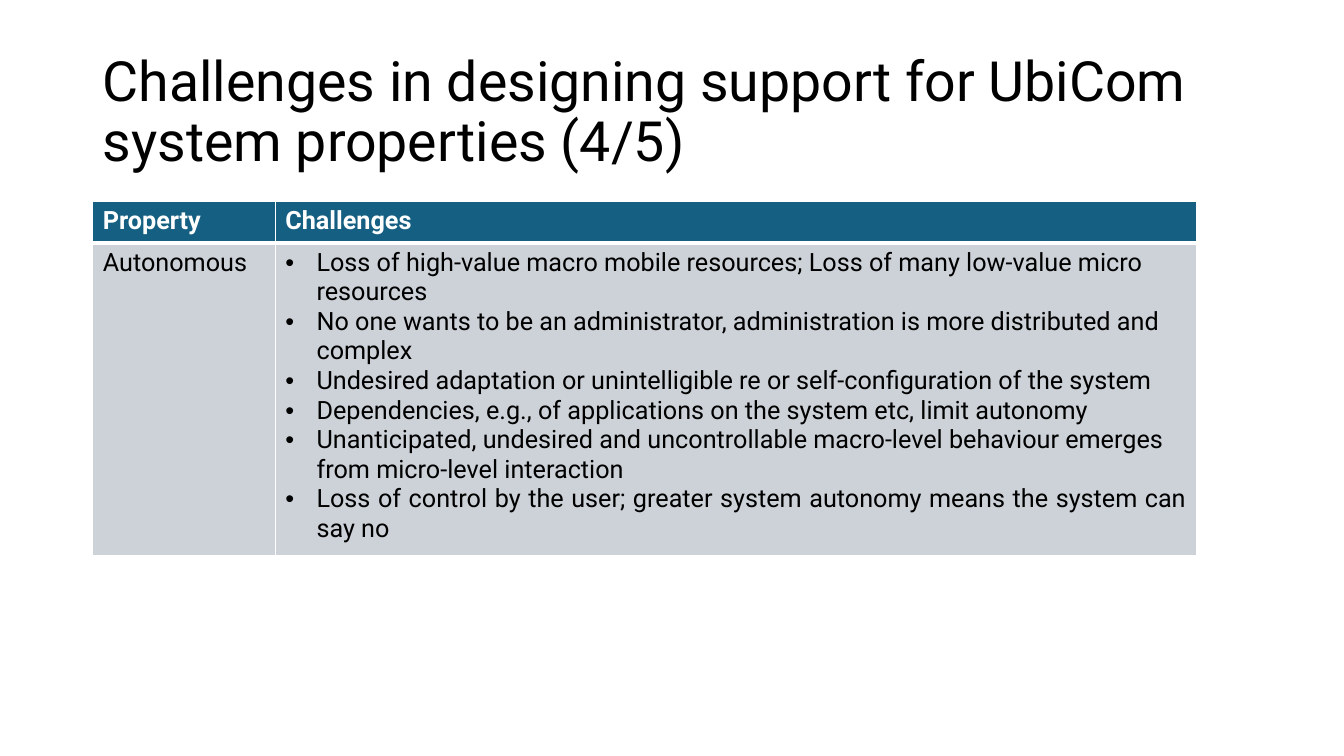
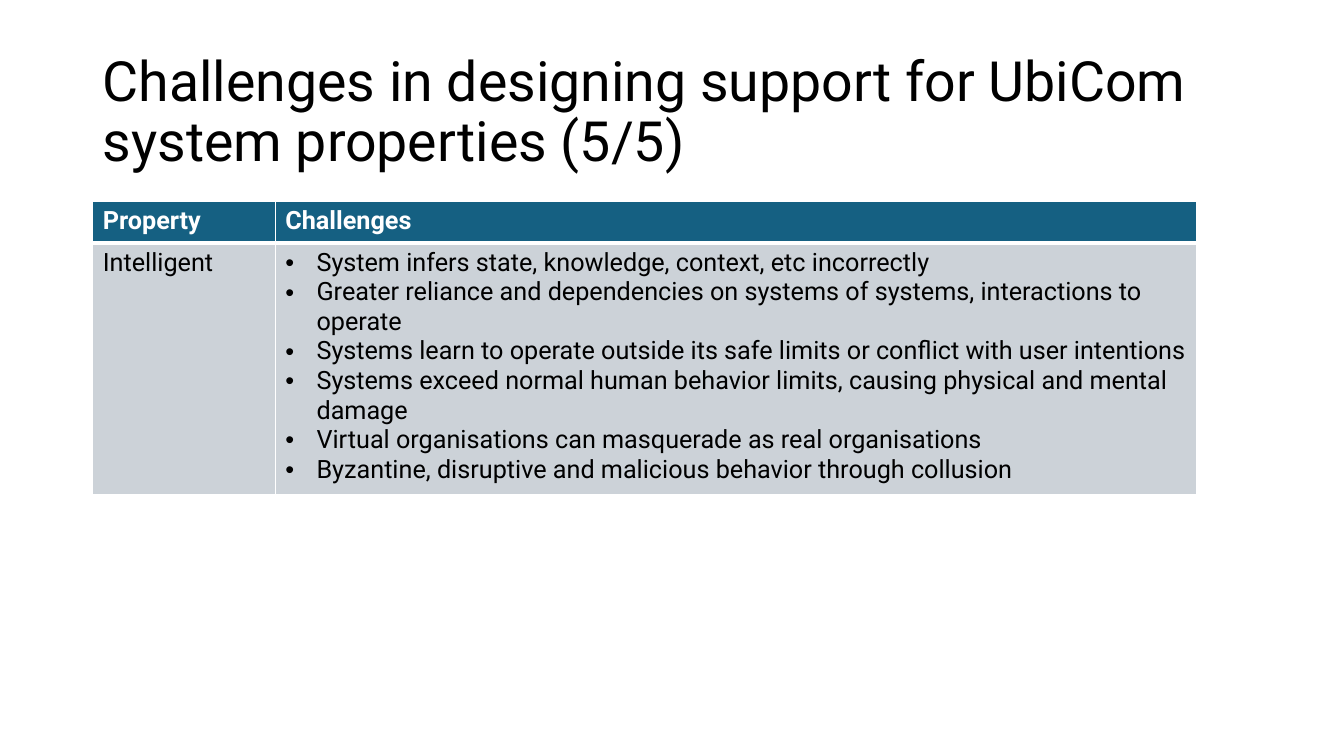
from lxml.etree import SubElement
from pptx import Presentation
from pptx.dml.color import RGBColor
from pptx.enum.text import MSO_ANCHOR as Anchor, PP_ALIGN as Align
from pptx.oxml.ns import qn
from pptx.util import Pt

PX = 9144  # EMU, 100 px to the inch
FONT = "Roboto"
COLOURS = {"text": "000000", "header": "156082", "body": "CCD2D8", "white": "FFFFFF"}

TITLE = "Challenges in designing support for UbiCom system properties ({}/5)"
HEADINGS = ("Property", "Challenges")
SLIDES = [
    {
        "number": 4,
        "property": "Autonomous",
        "challenges": [
            ("Loss of high-value macro mobile resources; Loss of many low-value micro resources", Align.LEFT),
            ("No one wants to be an administrator, administration is more distributed and complex", Align.LEFT),
            ("Undesired adaptation or unintelligible re or self-configuration of the system", Align.LEFT),
            ("Dependencies, e.g., of applications on the system etc, limit autonomy", Align.LEFT),
            ("Unanticipated, undesired and uncontrollable macro-level behaviour emerges "
             "from micro-level interaction", Align.LEFT),
            ("Loss of control by the user; greater system autonomy means the system can say no", Align.JUSTIFY),
        ],
    },
    {
        "number": 5,
        "property": "Intelligent",
        "challenges": [
            ("System infers state, knowledge, context, etc incorrectly", Align.LEFT),
            ("Greater reliance and dependencies on systems of systems, interactions to operate", Align.LEFT),
            ("Systems learn to operate outside its safe limits or conflict with user intentions", Align.LEFT),
            ("Systems exceed normal human behavior limits, causing physical and mental damage", Align.LEFT),
            ("Virtual organisations can masquerade as real organisations", Align.LEFT),
            ("Byzantine, disruptive and malicious behavior through collusion", Align.LEFT),
        ],
    },
]

TITLE_BOX = (92, 40, 1150, 145)
TABLE_LEFT, TABLE_TOP = 92, 200
COLUMN_WIDTHS = (181, 914)
ROW_HEIGHT = 41
BULLET_INDENT = 31
TITLE_SIZE, TABLE_SIZE = 39.6, 18
THIN, THICK = 1, 3


def px(*lengths):
    return [length * PX for length in lengths]


def style(para, size, colour, bold=False):
    for span in para.runs:
        span.font.name = FONT
        span.font.size = Pt(size)
        span.font.bold = bold
        span.font.color.rgb = RGBColor.from_string(COLOURS[colour])


def add_bullet(para):
    props = para._p.get_or_add_pPr()
    props.set("marL", str(BULLET_INDENT * PX))
    props.set("indent", str(-BULLET_INDENT * PX))
    SubElement(props, qn("a:buFont"), typeface="Arial")
    SubElement(props, qn("a:buChar"), char="•")


def paint_cell(cell, fill, top, bottom):
    """Give the cell white borders and a solid fill; top and bottom are in points."""
    props = cell._tc.get_or_add_tcPr()
    for side, width in (("L", THIN), ("R", THIN), ("T", top), ("B", bottom)):
        line = SubElement(props, qn(f"a:ln{side}"), w=str(Pt(width)))
        solid = SubElement(line, qn("a:solidFill"))
        SubElement(solid, qn("a:srgbClr"), val=COLOURS["white"])
    cell.fill.solid()
    cell.fill.fore_color.rgb = RGBColor.from_string(COLOURS[fill])


def add_title(page, number):
    frame = page.shapes.add_textbox(*px(*TITLE_BOX)).text_frame
    frame.word_wrap = True
    frame.vertical_anchor = Anchor.MIDDLE
    frame.text = TITLE.format(number)
    para = frame.paragraphs[0]
    para.line_spacing = 0.9
    style(para, TITLE_SIZE, "text")


def add_challenge_table(page, property_name, challenges):
    area = px(TABLE_LEFT, TABLE_TOP, sum(COLUMN_WIDTHS), 2 * ROW_HEIGHT)
    table = page.shapes.add_table(2, len(HEADINGS), *area).table
    for column, width in zip(table.columns, px(*COLUMN_WIDTHS)):
        column.width = width

    for index, heading in enumerate(HEADINGS):
        cell = table.cell(0, index)
        cell.text_frame.text = heading
        style(cell.text_frame.paragraphs[0], TABLE_SIZE, "white", bold=True)
        paint_cell(cell, "header", THIN, THICK)
        paint_cell(table.cell(1, index), "body", THICK, THIN)

    name_frame = table.cell(1, 0).text_frame
    name_frame.text = property_name
    style(name_frame.paragraphs[0], TABLE_SIZE, "text")

    frame = table.cell(1, 1).text_frame
    frame.text = "\n".join(text for text, _ in challenges)
    for para, (_, alignment) in zip(frame.paragraphs, challenges):
        para.alignment = alignment
        add_bullet(para)
        style(para, TABLE_SIZE, "text")


def main():
    deck = Presentation()
    deck.slide_width, deck.slide_height = px(1333, 750)
    for content in SLIDES:
        page = deck.slides.add_slide(deck.slide_layouts[6])
        add_title(page, content["number"])
        add_challenge_table(page, content["property"], content["challenges"])
    deck.save("out.pptx")


if __name__ == "__main__":
    main()
